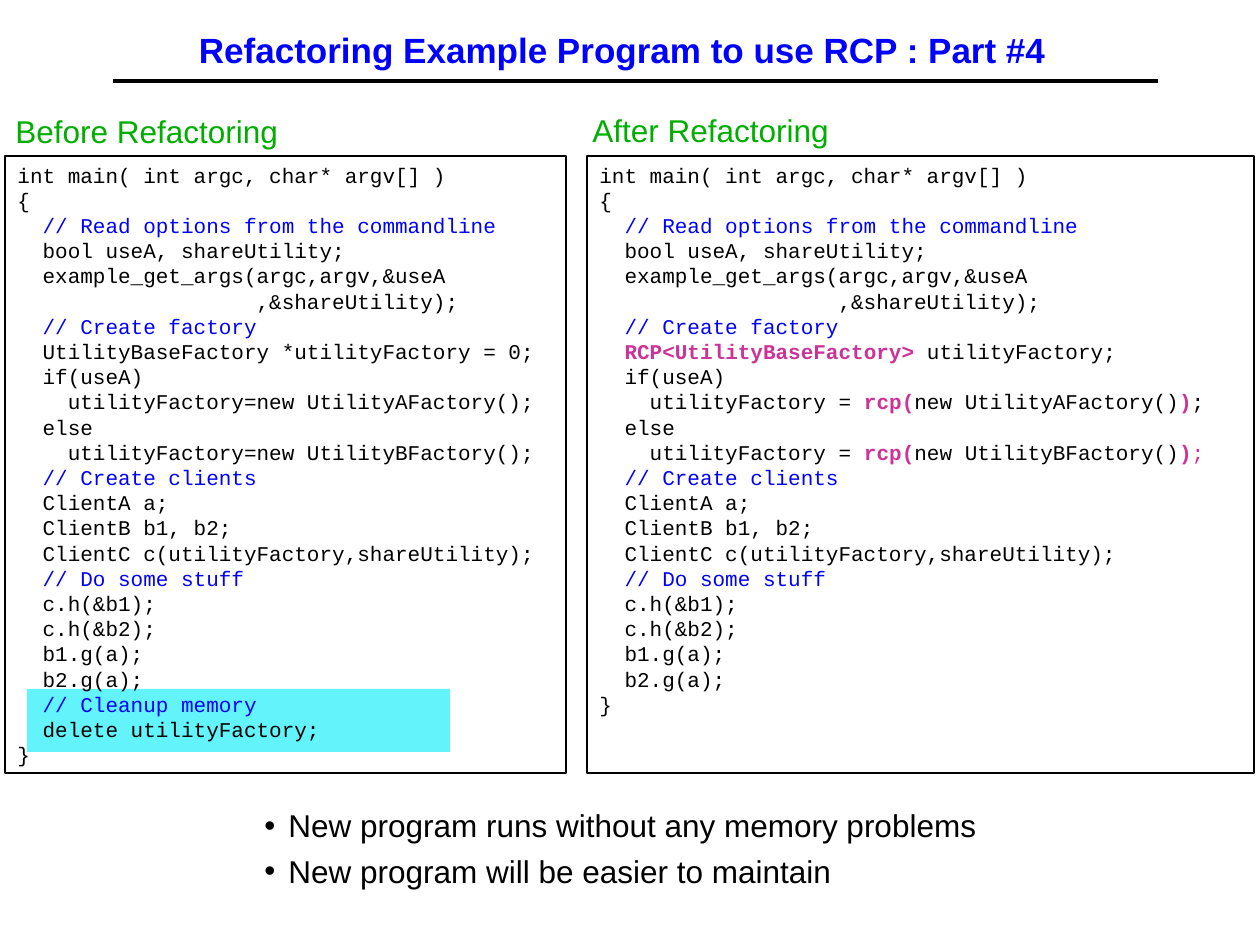
"""Build the slide that compares a program before and after refactoring to RCP."""
import pptx
import pptx.dml.color
import pptx.enum.shapes
import pptx.enum.text
import pptx.oxml
import pptx.oxml.ns
import pptx.util

EMU_PER_PX = 914400 / 126
COLORS = {
    "text": "000000",
    "blue": "0000FF",
    "label": "00AE00",
    "rcp": "CC3399",
    "highlight": "63F4FB",
}
ALIGN = pptx.enum.text.PP_ALIGN
ANCHOR = pptx.enum.text.MSO_ANCHOR

OPENING = [
    "int main( int argc, char* argv[] )",
    "{",
    "  // Read options from the commandline",
    "  bool useA, shareUtility;",
    "  example_get_args(argc,argv,&useA",
    "                   ,&shareUtility);",
    "  // Create factory",
]
FACTORY_BEFORE = [
    "  UtilityBaseFactory *utilityFactory = 0;",
    "  if(useA)",
    "    utilityFactory=new UtilityAFactory();",
    "  else",
    "    utilityFactory=new UtilityBFactory();",
]
FACTORY_AFTER = [
    ["  ", ("RCP<UtilityBaseFactory>", "rcp", True), " utilityFactory;"],
    "  if(useA)",
    ["    utilityFactory = ", ("rcp(", "rcp", True), "new UtilityAFactory()",
     (")", "rcp", True), ";"],
    "  else",
    ["    utilityFactory = ", ("rcp(", "rcp", True), "new UtilityBFactory()",
     (")", "rcp", True), (";", "rcp", False)],
]
CLIENTS = [
    "  // Create clients",
    "  ClientA a;",
    "  ClientB b1, b2;",
    "  ClientC c(utilityFactory,shareUtility);",
    "  // Do some stuff",
    "  c.h(&b1);",
    "  c.h(&b2);",
    "  b1.g(a);",
    "  b2.g(a);",
]
CLEANUP = ["  // Cleanup memory", "  delete utilityFactory;"]
CLOSING = ["}"]


def px(n):
    """Turn pixels into EMU."""
    return pptx.util.Emu(round(n * EMU_PER_PX))


def rgb(name):
    """Look up a colour by name."""
    return pptx.dml.color.RGBColor.from_string(COLORS[name])


def set_indent(p, bullet):
    """Give a paragraph a hanging indent and, if asked, a bullet."""
    pPr = p._p.get_or_add_pPr()
    pPr.set("marL", str(px(48)))
    pPr.set("indent", str(px(-24)))
    p.space_after = pptx.util.Pt(4.5)
    if bullet:
        ns = pptx.oxml.ns.nsdecls("a")
        pPr.append(pptx.oxml.parse_xml(f'<a:buFont {ns} typeface="Arial"/>'))
        pPr.append(pptx.oxml.parse_xml(f'<a:buChar {ns} char="•"/>'))


def write_text(sp, lines, size=18, font="Arial", color="text", bold=False,
               align=ALIGN.LEFT, anchor=ANCHOR.TOP, hanging=False, bullet=False):
    """Write lines into a shape; a line is a string or a list of runs."""
    tf = sp.text_frame
    tf.word_wrap = True
    tf.vertical_anchor = anchor
    for i, line in enumerate(lines):
        p = tf.paragraphs[0] if i == 0 else tf.add_paragraph()
        p.alignment = align
        if hanging:
            set_indent(p, bullet)
        for run in [line] if isinstance(line, str) else line:
            text, run_color, run_bold = (
                (run, color, bold) if isinstance(run, str) else run)
            r = p.add_run()
            r.text = text
            r.font.name = font
            r.font.size = pptx.util.Pt(size)
            r.font.bold = run_bold
            r.font.color.rgb = rgb(run_color)


def add_text(s, x, y, w, h, lines, **fmt):
    """Add a text box."""
    write_text(s.shapes.add_textbox(px(x), px(y), px(w), px(h)), lines, **fmt)


def add_rect(s, x, y, w, h, fill=None, line=None):
    """Add a plain rectangle."""
    sp = s.shapes.add_shape(pptx.enum.shapes.MSO_SHAPE.RECTANGLE,
                            px(x), px(y), px(w), px(h))
    sp.shadow.inherit = False
    if fill:
        sp.fill.solid()
        sp.fill.fore_color.rgb = rgb(fill)
    else:
        sp.fill.background()
    if line:
        sp.line.color.rgb = rgb(line)
        sp.line.width = pptx.util.Pt(1)
    else:
        sp.line.fill.background()
    return sp


def add_code(s, x, w, lines):
    """Add a framed listing with its comments in blue."""
    runs = [[(line, "blue", False)]
            if isinstance(line, str) and line.lstrip().startswith("//") else line
            for line in lines]
    write_text(add_rect(s, x, 156, w, 617, line="text"), runs,
               size=12, font="Courier New")


def add_rule(s, x1, x2, y):
    """Add the horizontal line under the title."""
    c = s.shapes.add_connector(pptx.enum.shapes.MSO_CONNECTOR.STRAIGHT,
                               px(x1), px(y), px(x2), px(y))
    c.line.color.rgb = rgb("text")
    c.line.width = pptx.util.Pt(2)
    c._element.spPr.append(pptx.oxml.parse_xml(
        f'<a:effectLst {pptx.oxml.ns.nsdecls("a")}/>'))


def main():
    """Build and save the slide."""
    prs = pptx.Presentation()
    prs.slide_width, prs.slide_height = px(1260), px(945)
    s = prs.slides.add_slide(prs.slide_layouts[6])

    add_rule(s, 113, 1158, 81)
    add_rect(s, 27, 689, 423, 63, fill="highlight")
    add_text(s, 87, 18, 1071, 62,
             ["Refactoring Example Program to use RCP : Part #4"],
             size=20, color="blue", bold=True,
             align=ALIGN.CENTER, anchor=ANCHOR.MIDDLE)
    add_code(s, 5, 561, OPENING + FACTORY_BEFORE + CLIENTS + CLEANUP + CLOSING)
    add_text(s, -21, 106, 630, 50, ["Before Refactoring"],
             color="label", hanging=True)
    add_text(s, 556, 105, 630, 50, ["After Refactoring"],
             color="label", hanging=True)
    add_code(s, 587, 667, OPENING + FACTORY_AFTER + CLIENTS + CLOSING)
    add_text(s, 228, 800, 815, 96,
             ["New program runs without any memory problems",
              "New program will be easier to maintain"],
             hanging=True, bullet=True)
    prs.save("out.pptx")


if __name__ == "__main__":
    main()
